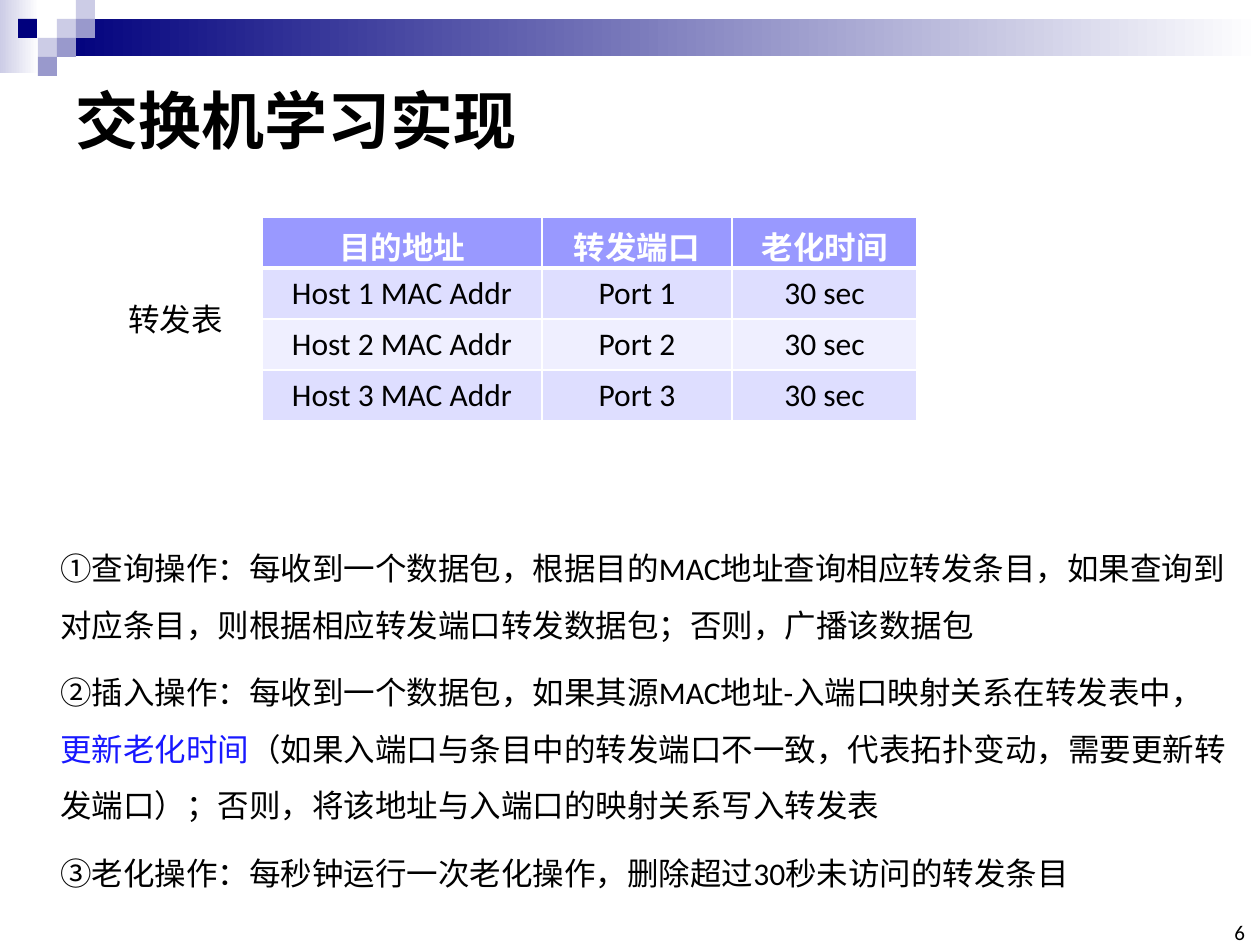
import pptx
import pptx.util
import pptx.dml.color
import pptx.enum.shapes
import pptx.enum.text
import pptx.oxml

PX = 914400 / 126
Pt = pptx.util.Pt
ALIGN = pptx.enum.text.PP_ALIGN
ANCHOR = pptx.enum.text.MSO_ANCHOR
NS = "http://schemas.openxmlformats.org/drawingml/2006/main"


def box(*px):
    """Turn lengths in px into EMU."""
    return [round(n * PX) for n in px]


def write(para, text, size=18, color="000000", bold=False):
    run = para.add_run()
    run.text = text
    run.font.name = "Calibri"
    run.font.size = Pt(size)
    run.font.bold = bold
    run.font.color.rgb = pptx.dml.color.RGBColor.from_string(color)


prs = pptx.Presentation()
prs.slide_width, prs.slide_height = box(1260, 945)
slide = prs.slides.add_slide(prs.slide_layouts[5])
shapes = slide.shapes

# Corner squares and the fading bar
decor = [
    (0, 0, 39, 73, "CCCCE6", "FFFFFF"),
    (57, 19, 1203, 37, "00007D", "FFFFFF"),
    (57, 19, 19, 19, "CCCCE6", None),
    (76, 0, 19, 19, "CCCCE6", None),
    (76, 19, 19, 19, "9999CC", None),
    (38, 38, 19, 19, "CCCCE6", None),
    (18, 19, 19, 19, "00007D", None),
    (57, 38, 19, 19, "9999CC", None),
    (38, 57, 19, 19, "9999CC", None),
]
for x, y, w, h, first, last in decor:
    rect = shapes.add_shape(pptx.enum.shapes.MSO_SHAPE.RECTANGLE, *box(x, y, w, h))
    rect.shadow.inherit = False
    rect.line.fill.background()
    if last:
        rect.fill.gradient()
        rect.fill.gradient_angle = 0
        for stop, color in zip(rect.fill.gradient_stops, (first, last)):
            stop.color.rgb = pptx.dml.color.RGBColor.from_string(color)
    else:
        rect.fill.solid()
        rect.fill.fore_color.rgb = pptx.dml.color.RGBColor.from_string(first)

# Title
title = shapes.title
title.left, title.top, title.width, title.height = box(63, 63, 1134, 112)
title.text_frame.vertical_anchor = ANCHOR.MIDDLE
para = title.text_frame.paragraphs[0]
para.alignment = ALIGN.LEFT
write(para, "交换机学习实现", 36, bold=True)

# Slide number
frame = shapes.add_textbox(*box(1216, 924, 29, 21)).text_frame
frame.margin_left = frame.margin_right = frame.margin_top = frame.margin_bottom = 0
frame.vertical_anchor = ANCHOR.BOTTOM
frame.word_wrap = True
para = frame.paragraphs[0]
para.alignment = ALIGN.RIGHT
write(para, "6", 12)

# Forwarding table
rows = [("目的地址", "转发端口", "老化时间")]
rows += [(f"Host {n} MAC Addr", f"Port {n}", "30 sec") for n in (1, 2, 3)]
fills = ["9999FF", "DEDEFF", "EFEFFF", "DEDEFF"]
table = shapes.add_table(4, 3, *box(262, 217, 655, 204)).table
for col, width in zip(table.columns, box(280, 190, 185)):
    col.width = width
for r, row in enumerate(rows):
    table.rows[r].height = box(51)[0]
    for c, text in enumerate(row):
        cell = table.cell(r, c)
        cell.fill.solid()
        cell.fill.fore_color.rgb = pptx.dml.color.RGBColor.from_string(fills[r])
        para = cell.text_frame.paragraphs[0]
        para.alignment = ALIGN.CENTER
        write(para, text, color="000000" if r else "FFFFFF", bold=r == 0)
        props = cell._tc.get_or_add_tcPr()
        for i, side in enumerate("LRTB"):
            thick = (r, side) in ((0, "B"), (1, "T"))
            props.insert(i, pptx.oxml.parse_xml(
                f'<a:ln{side} xmlns:a="{NS}" w="{Pt(3 if thick else 1)}">'
                f'<a:solidFill><a:srgbClr val="FFFFFF"/></a:solidFill></a:ln{side}>'))

label = shapes.add_textbox(*box(116, 294, 121, 50)).text_frame
label.word_wrap = False
write(label.paragraphs[0], "转发表")

# The three operations
steps = [
    [("①查询操作：每收到一个数据包，根据目的MAC地址查询相应转发条目，如果查询到对应条目，"
      "则根据相应转发端口转发数据包；否则，广播该数据包", "000000")],
    [("②插入操作：每收到一个数据包，如果其源MAC地址-入端口映射关系在转发表中，", "000000"),
     ("更新老化时间", "1818FF"),
     ("（如果入端口与条目中的转发端口不一致，代表拓扑变动，需要更新转发端口）；"
      "否则，将该地址与入端口的映射关系写入转发表", "000000")],
    [("③老化操作：每秒钟运行一次老化操作，删除超过30秒未访问的转发条目", "000000")],
]
body = shapes.add_textbox(*box(48, 524, 1197, 370)).text_frame
body.word_wrap = True
for i, step in enumerate(steps):
    para = body.add_paragraph() if i else body.paragraphs[0]
    para.line_spacing = 1.5
    para.space_before = Pt(6)
    for text, color in step:
        write(para, text, color=color)

prs.save("out.pptx")
